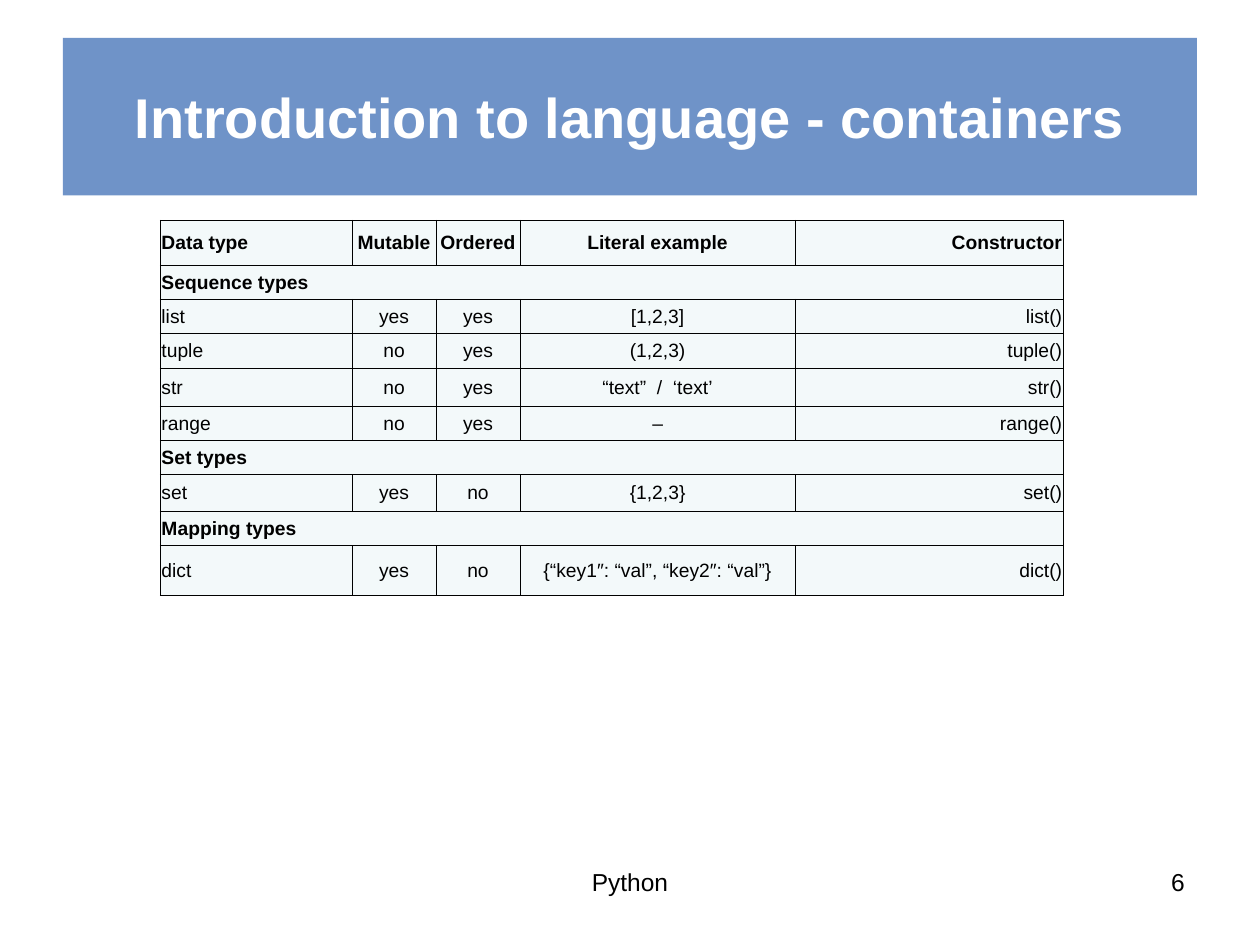
from lxml import etree
from pptx import Presentation
from pptx.dml.color import RGBColor
from pptx.enum.shapes import MSO_SHAPE
from pptx.enum.text import MSO_ANCHOR, PP_ALIGN
from pptx.oxml.ns import qn
from pptx.util import Pt

LEFT, CENTER, RIGHT = PP_ALIGN.LEFT, PP_ALIGN.CENTER, PP_ALIGN.RIGHT
MIDDLE = MSO_ANCHOR.MIDDLE
COLORS = {"banner": "4775B9", "title": "FFFFFF", "text": "000000",
          "cell": "F3F9FA", "border": "000000"}


def write(tf, text, size, align, color="text", bold=False):
    p = tf.paragraphs[0]
    p.text = text
    p.alignment = align
    p.font.name = "Arial"
    p.font.size = Pt(size)
    p.font.bold = bold
    p.font.color.rgb = RGBColor.from_string(COLORS[color])


def add_borders(cell, width):
    tcPr = cell._tc.get_or_add_tcPr()
    for side in ("lnL", "lnR", "lnT", "lnB"):
        ln = etree.SubElement(tcPr, qn(f"a:{side}"), w=str(Pt(width)))
        fill = etree.SubElement(ln, qn("a:solidFill"))
        etree.SubElement(fill, qn("a:srgbClr"), val=COLORS["border"])


prs = Presentation()
prs.slide_width, prs.slide_height = Pt(720), Pt(540)
s = prs.slides.add_slide(prs.slide_layouts[6])

# Title banner
sp = s.shapes.add_shape(MSO_SHAPE.RECTANGLE, Pt(36), Pt(21.6), Pt(648), Pt(90))
sp.shadow.inherit = False
sp.line.fill.background()
sp.fill.solid()
sp.fill.fore_color.rgb = RGBColor.from_string(COLORS["banner"])
banner_color = sp.fill._xPr.find(qn("a:solidFill"))[0]
etree.SubElement(banner_color, qn("a:alpha"), val="78000")
sp.text_frame.word_wrap = True
sp.text_frame.vertical_anchor = MIDDLE
write(sp.text_frame, "Introduction to language - containers", 32, CENTER, "title", True)

# Container table: a row with a single entry is a group heading
rows = [
    ("Data type", "Mutable", "Ordered", "Literal example", "Constructor"),
    ("Sequence types",),
    ("list", "yes", "yes", "[1,2,3]", "list()"),
    ("tuple", "no", "yes", "(1,2,3)", "tuple()"),
    ("str", "no", "yes", "“text”  /  ‘text’", "str()"),
    ("range", "no", "yes", "–", "range()"),
    ("Set types",),
    ("set", "yes", "no", "{1,2,3}", "set()"),
    ("Mapping types",),
    ("dict", "yes", "no", "{“key1″: “val”, “key2″: “val”}", "dict()"),
]
col_widths = [109.6, 48, 48, 157.3, 153.2]
row_heights = [25.7, 15.1, 18, 20, 21.7, 17.5, 15.1, 21.3, 15.1, 28.6]
aligns = [LEFT, CENTER, CENTER, CENTER, RIGHT]

table = s.shapes.add_table(len(rows), len(col_widths), Pt(91.6), Pt(125.9),
                           Pt(sum(col_widths)), Pt(sum(row_heights))).table
table.first_row = table.horz_banding = False
for column, width in zip(table.columns, col_widths):
    column.width = Pt(width)
for i, (texts, height) in enumerate(zip(rows, row_heights)):
    table.rows[i].height = Pt(height)
    is_group = len(texts) == 1
    if is_group:
        table.cell(i, 0).merge(table.cell(i, len(col_widths) - 1))
    for j, align in enumerate(aligns):
        cell = table.cell(i, j)
        cell.margin_left = cell.margin_right = Pt(0.7)
        cell.margin_top = cell.margin_bottom = Pt(3.6)
        cell.vertical_anchor = MIDDLE
        add_borders(cell, 0.45)
        cell.fill.solid()
        cell.fill.fore_color.rgb = RGBColor.from_string(COLORS["cell"])
        text = texts[j] if j < len(texts) else ""
        write(cell.text_frame, text, 11, align, bold=i == 0 or is_group)

# Footer
for text, left, width, align in [("6", 516, 168, RIGHT), ("Python", 246, 228, CENTER)]:
    tf = s.shapes.add_textbox(Pt(left), Pt(491.8), Pt(width), Pt(37.4)).text_frame
    tf.word_wrap = True
    write(tf, text, 14, align)

prs.save("out.pptx")
